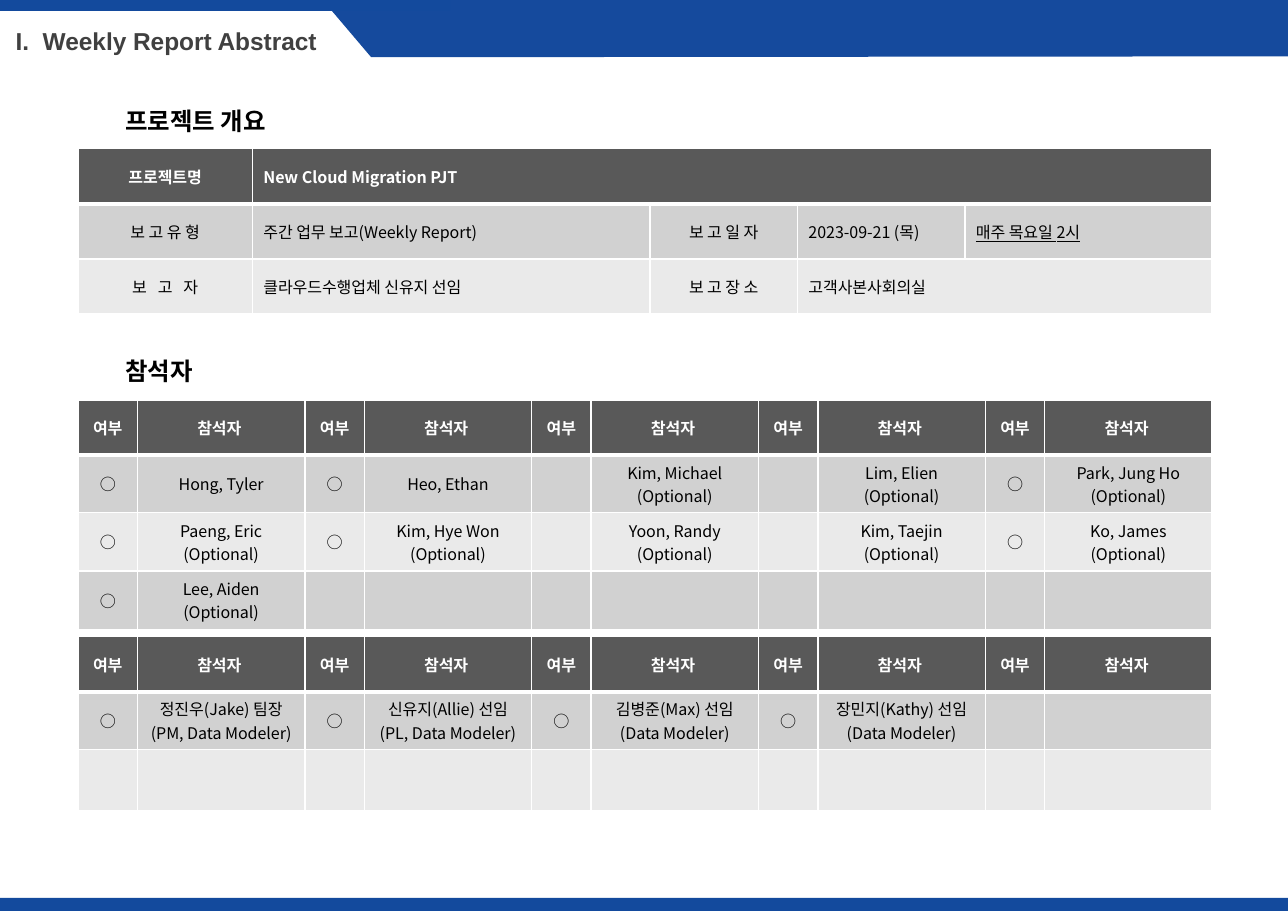
from lxml.etree import SubElement
from pptx import Presentation
from pptx.dml.color import RGBColor
from pptx.enum.shapes import MSO_SHAPE
from pptx.enum.text import MSO_ANCHOR as Anchor, PP_ALIGN as Align
from pptx.oxml import parse_xml
from pptx.oxml.ns import nsdecls, qn
from pptx.util import Cm, Pt

BLUE = RGBColor(0x13, 0x4A, 0x9D)
BANNER_BLUE = RGBColor(0x15, 0x4A, 0x9D)
TITLE_GRAY = RGBColor(0x40, 0x40, 0x40)
HEADER_GRAY = RGBColor(0x59, 0x59, 0x59)
BAND_GRAYS = (RGBColor(0xD1, 0xD1, 0xD1), RGBColor(0xEA, 0xEA, 0xEA))
BLACK = RGBColor(0x00, 0x00, 0x00)
WHITE = RGBColor(0xFF, 0xFF, 0xFF)

TITLE_FONT = "Arial"
BODY_FONT = "Noto Sans CJK KR"
SLIDE_WIDTH, SLIDE_HEIGHT = 29.7, 21
TABLE_LEFT = 1.8

PROJECT_WIDTHS = (4.02, 9.17, 3.4, 3.86, 5.7)
PROJECT_ROWS = [
    ["프로젝트명", "New Cloud Migration PJT", "", "", ""],
    ["보 고 유 형", "주간 업무 보고(Weekly Report)", "보 고 일 자",
     "2023-09-21 (목)", "매주 목요일 2시"],
    ["보 고 자", "클라우드수행업체 신유지 선임", "보 고 장 소", "고객사본사회의실", ""],
]

ATTENDEE_WIDTHS = (1.37, 3.86) * 5
ATTENDEE_HEADER = ["여부", "참석자 "] * 5
CLIENT_ROWS = [
    ATTENDEE_HEADER,
    ["○", "Hong, Tyler", "○", "Heo, Ethan", "", "Kim, Michael\n(Optional)",
     "", "Lim, Elien\n(Optional)", "○", "Park, Jung Ho\n(Optional)"],
    ["○", "Paeng, Eric\n(Optional)", "○", "Kim, Hye Won\n(Optional)",
     "", "Yoon, Randy\n(Optional)", "", "Kim, Taejin\n(Optional)",
     "○", "Ko, James\n(Optional)"],
    ["○", "Lee, Aiden\n(Optional)"] + [""] * 8,
]
TEAM_ROWS = [
    ATTENDEE_HEADER,
    ["○", "정진우(Jake) 팀장\n(PM, Data Modeler)",
     "○", "신유지(Allie) 선임\n(PL, Data Modeler)",
     "○", "김병준(Max) 선임\n(Data Modeler)",
     "○", "장민지(Kathy) 선임\n(Data Modeler)", "", ""],
    [""] * 10,
]


def add_run(paragraph, text, size, color, bold=False, font_name=BODY_FONT):
    run = paragraph.add_run()
    run.text = text
    run.font.size = Pt(size)
    run.font.bold = bold
    run.font.color.rgb = color
    run.font.name = font_name
    east_asian = SubElement(run._r.get_or_add_rPr(), qn("a:ea"))
    east_asian.set("typeface", font_name)
    return run


def widen(run, points):
    """Add space after every character of a run."""
    run._r.get_or_add_rPr().set("spc", str(int(points * 100)))


def paint(shape, color):
    shape.shadow.inherit = False
    shape.fill.solid()
    shape.fill.fore_color.rgb = color
    shape.line.fill.background()


def add_bar(slide, top, width, height):
    bar = slide.shapes.add_shape(
        MSO_SHAPE.RECTANGLE, Cm(0), Cm(top), Cm(width), Cm(height))
    paint(bar, BLUE)


def add_banner(slide):
    builder = slide.shapes.build_freeform(Cm(7.44), Cm(0))
    corners = [(SLIDE_WIDTH, 0), (SLIDE_WIDTH, 1.3), (8.56, 1.32)]
    builder.add_line_segments([(Cm(x), Cm(y)) for x, y in corners])
    paint(builder.convert_to_shape(), BANNER_BLUE)


def add_text_box(slide, left, top, width, height):
    box = slide.shapes.add_textbox(Cm(left), Cm(top), Cm(width), Cm(height))
    box.text_frame.word_wrap = True
    return box.text_frame


def add_title(slide):
    frame = add_text_box(slide, 0.08, 0.46, 7.98, 0.97)
    frame.vertical_anchor = Anchor.MIDDLE
    frame.margin_left = frame.margin_right = Cm(0.28)
    frame.margin_top = frame.margin_bottom = Cm(0.15)
    number, gap, _ = [
        add_run(frame.paragraphs[0], text, 16, TITLE_GRAY, True, TITLE_FONT)
        for text in ("I.", " ", "Weekly Report Abstract")]
    widen(gap, 4.45)


def add_heading(slide, top, text):
    frame = add_text_box(slide, 2.64, top, 18.39, 0.94)
    add_run(frame.paragraphs[0], text, 16, BLACK, True)


def set_borders(cell, top, bottom):
    properties = cell._tc.get_or_add_tcPr()
    sides = [("L", 1), ("R", 1), ("T", top), ("B", bottom)]
    for position, (side, width) in enumerate(sides):
        properties.insert(position, parse_xml(
            f'<a:ln{side} {nsdecls("a")} w="{Pt(width)}"><a:solidFill>'
            f'<a:srgbClr val="{WHITE}"/></a:solidFill></a:ln{side}>'))


def fill_cell(cell, text, row, centered):
    is_header = row == 0
    cell.fill.solid()
    cell.fill.fore_color.rgb = HEADER_GRAY if is_header else BAND_GRAYS[(row - 1) % 2]
    set_borders(cell, top=3 if row == 1 else 1, bottom=3 if is_header else 1)
    cell.vertical_anchor = Anchor.MIDDLE
    cell.margin_top = cell.margin_bottom = Cm(0)
    if not text:
        return
    frame = cell.text_frame
    for index, line in enumerate(text.split("\n")):
        paragraph = frame.add_paragraph() if index else frame.paragraphs[0]
        paragraph.alignment = Align.CENTER if centered else Align.LEFT
        add_run(paragraph, line, 10.5, WHITE if is_header else BLACK, is_header)


def add_table(slide, top, widths, heights, rows, centered_columns):
    table = slide.shapes.add_table(
        len(rows), len(widths), Cm(TABLE_LEFT), Cm(top),
        Cm(sum(widths)), Cm(sum(heights))).table
    table.first_row = table.horz_banding = False
    for column, width in zip(table.columns, widths):
        column.width = Cm(width)
    for row, (height, texts) in enumerate(zip(heights, rows)):
        table.rows[row].height = Cm(height)
        for column, text in enumerate(texts):
            fill_cell(table.cell(row, column), text, row, column in centered_columns)
    return table


def add_project_table(slide):
    table = add_table(slide, 3.43, PROJECT_WIDTHS, [1.27] * 3, PROJECT_ROWS, (0, 2))
    table.cell(0, 1).merge(table.cell(0, 4))
    table.cell(2, 3).merge(table.cell(2, 4))
    meeting_time = table.cell(1, 4).text_frame.paragraphs[0].runs[0]
    meeting_time.font.underline = True
    reporter_label = table.cell(2, 0).text_frame.paragraphs[0].runs[0]
    widen(reporter_label, 2.4)


def main():
    presentation = Presentation()
    presentation.slide_width = Cm(SLIDE_WIDTH)
    presentation.slide_height = Cm(SLIDE_HEIGHT)
    slide = presentation.slides.add_slide(presentation.slide_layouts[6])

    # Frame and title
    add_bar(slide, 20.7, SLIDE_WIDTH, 0.3)
    add_banner(slide)
    add_bar(slide, 0, 10.39, 0.25)
    add_title(slide)

    # Project overview
    add_heading(slide, 2.31, "프로젝트 개요")
    add_project_table(slide)

    # Attendees: client side, then project team
    add_heading(slide, 8.08, "참석자")
    all_columns = range(len(ATTENDEE_WIDTHS))
    add_table(slide, 9.22, ATTENDEE_WIDTHS, (1.27, 1.32, 1.35, 1.35),
              CLIENT_ROWS, all_columns)
    add_table(slide, 14.68, ATTENDEE_WIDTHS, (1.27, 1.32, 1.42),
              TEAM_ROWS, all_columns)

    presentation.save("out.pptx")


if __name__ == "__main__":
    main()
